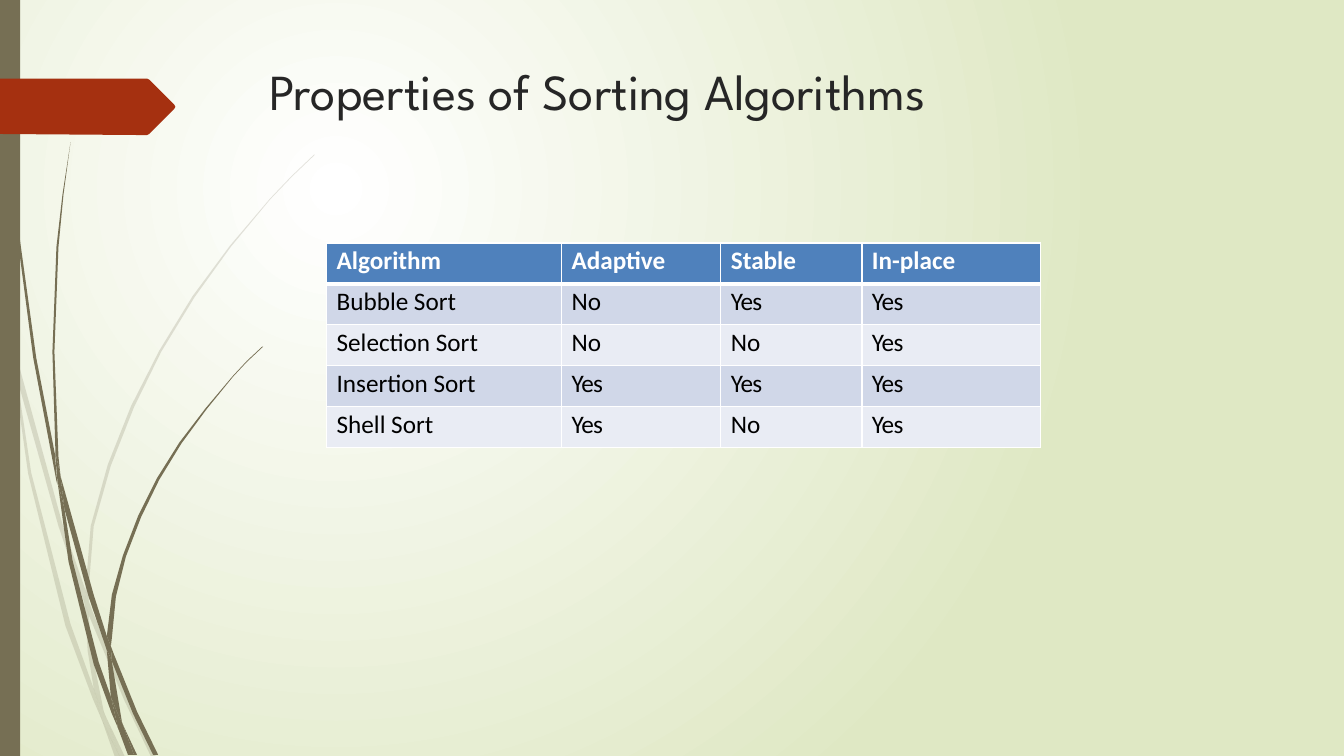
from pptx import Presentation
from pptx.dml.color import RGBColor
from pptx.enum.shapes import MSO_SHAPE
from pptx.enum.text import MSO_ANCHOR, PP_ALIGN
from pptx.oxml import parse_xml
from pptx.oxml.ns import nsdecls, qn
from pptx.util import Pt

RECT = MSO_SHAPE.RECTANGLE
TOP, MIDDLE = MSO_ANCHOR.TOP, MSO_ANCHOR.MIDDLE
LEFT = PP_ALIGN.LEFT

WHITE = RGBColor(0xFF, 0xFF, 0xFF)
BLACK = RGBColor(0, 0, 0)
INK = RGBColor(0x26, 0x26, 0x26)
GREEN = RGBColor(0xDF, 0xE8, 0xC4)
OLIVE = RGBColor(0x76, 0x6F, 0x54)
RUST = RGBColor(0xA5, 0x30, 0x10)
BLUE = RGBColor(0x4F, 0x81, 0xBC)
BANDS = [RGBColor(0xE9, 0xEC, 0xF4), RGBColor(0xD0, 0xD7, 0xE8)]

# Outlines are in hundredths of an inch
UNIT = Pt(0.72)
PALE = [
    [(11, 350), (9, 322), (0, 282), (0, 299), (10, 344)],
    [(58, 522), (84, 599), (85, 586), (62, 520), (14, 345), (17, 376)],
    [(92, 607), (88, 596), (88, 610), (123, 694), (150, 751), (155, 751),
     (127, 692)],
    [(119, 751), (124, 751), (105, 711)],
    [(93, 683), (70, 619), (31, 469), (17, 376), (11, 350), (28, 470),
     (65, 621), (92, 693), (101, 714), (99, 707)],
    [(84, 599), (87, 646), (93, 683), (96, 692), (105, 711), (103, 706),
     (91, 646), (88, 610), (88, 608)],
    [(88, 584), (93, 522), (110, 462), (133, 404), (160, 349), (193, 295),
     (229, 245), (268, 198), (290, 175), (312, 154), (312, 153), (289, 175),
     (268, 197), (228, 244), (191, 294), (158, 348), (130, 403), (107, 461),
     (90, 522), (85, 584), (85, 586), (88, 596)],
    [(101, 714), (114, 751), (119, 751)],
    [(88, 608), (88, 610), (88, 596), (85, 586), (84, 599)],
    [(96, 692), (93, 683), (99, 707), (101, 714), (119, 751), (105, 711)],
]
DARK = [
    [(7, 110), (17, 233), (33, 355), (56, 477), (57, 481), (55, 457),
     (55, 453), (36, 355), (19, 232), (8, 109), (5, 48), (4, 0), (3, 0),
     (4, 48)],
    [(88, 592), (106, 645), (106, 633), (106, 631), (93, 590), (60, 472),
     (64, 505)],
    [(113, 649), (110, 641), (111, 656), (132, 708), (152, 749), (157, 749),
     (136, 706)],
    [(110, 691), (98, 657), (72, 556), (64, 505), (57, 477), (68, 557),
     (93, 659), (111, 708), (117, 722), (116, 717)],
    [(60, 472), (58, 453), (54, 349), (58, 245), (63, 193), (70, 141),
     (62, 193), (56, 245), (52, 349), (55, 449)],
    [(133, 749), (136, 749), (122, 719)],
    [(57, 477), (64, 505), (60, 472), (55, 449), (55, 453)],
    [(111, 633), (115, 592), (125, 552), (140, 513), (158, 476), (180, 440),
     (205, 406), (231, 374), (245, 359), (261, 344), (260, 344), (245, 358),
     (231, 373), (204, 405), (178, 439), (156, 474), (137, 512), (122, 551),
     (111, 590), (106, 631), (110, 641)],
    [(117, 722), (127, 749), (131, 749)],
    [(106, 645), (110, 691), (116, 706), (122, 719), (121, 716), (111, 656),
     (109, 651)],
    [(106, 645), (109, 651), (111, 656), (110, 641), (106, 631), (106, 633)],
    [(116, 706), (110, 691), (116, 717), (117, 722), (130, 749), (133, 749),
     (122, 719)],
]
TAG = [(173, 108), (148, 133), (146, 134), (136, 134), (0, 133), (0, 78),
       (146, 78), (148, 79), (173, 104), (174, 106)]

ROWS = [
    ["Algorithm", "Adaptive", "Stable", "In-place"],
    ["Bubble Sort", "No", "Yes", "Yes"],
    ["Selection Sort", "No", "No", "Yes"],
    ["Insertion Sort", "Yes", "Yes", "Yes"],
    ["Shell Sort", "Yes", "No", "Yes"],
]
WIDTHS = [167.8, 113.8, 100.8, 127.4]
HIGH = 29.2


def write(frame, text, font, size, color, bold=False, indent=0, space=0):
    para = frame.paragraphs[0]
    para.alignment = LEFT
    para._p.get_or_add_pPr().set("marL", str(Pt(indent)))
    run = para.add_run()
    run.text = text
    run.font.name, run.font.size = font, Pt(size)
    run.font.bold = bold
    run.font.color.rgb = color
    run._r.get_or_add_rPr().set("spc", str(space))


def paint(shape, color):
    shape.shadow.inherit = False
    shape.fill.solid()
    shape.fill.fore_color.rgb = color
    shape.line.fill.background()


prs = Presentation()
prs.slide_width, prs.slide_height = Pt(960), Pt(540)
slide = prs.slides.add_slide(prs.slide_layouts[5])

# Radial background
back = slide.background.fill
back.gradient()
for stop, color in zip(back.gradient_stops, (WHITE, GREEN)):
    stop.color.rgb = color
grad = slide.element.find(".//" + qn("a:gradFill"))
lin = grad.find(qn("a:lin"))
grad.replace(lin, parse_xml(
    f'<a:path {nsdecls("a")} path="circle"><a:fillToRect l="50000" '
    't="50000" r="100000" b="100000"/></a:path>'))

# Grass, side bar and tag
for blades, alpha in ((PALE, 20), (DARK, 100)):
    group = slide.shapes.add_group_shape()
    for blade in blades:
        pen = group.shapes.build_freeform(*blade[0], scale=UNIT)
        pen.add_line_segments(blade[1:])
        leaf = pen.convert_to_shape()
        paint(leaf, OLIVE)
        if alpha < 100:
            tint = leaf._element.spPr.find(".//" + qn("a:srgbClr"))
            tint.append(parse_xml(
                f'<a:alpha {nsdecls("a")} val="{alpha * 1000}"/>'))

paint(slide.shapes.add_shape(RECT, 0, 0, Pt(14.4), Pt(540)), OLIVE)
pen = slide.shapes.build_freeform(*TAG[0], scale=UNIT)
pen.add_line_segments(TAG[1:])
paint(pen.convert_to_shape(), RUST)

# Title
title = slide.shapes.title
title.left, title.top = Pt(191.5), Pt(33.1)
title.width, title.height = Pt(576.7), Pt(61.9)
frame = title.text_frame
frame.word_wrap = True
frame.vertical_anchor = MIDDLE
frame.margin_left = frame.margin_right = frame.margin_bottom = 0
frame.margin_top = Pt(0.7)
write(frame, "Properties of Sorting Algorithms", "League Spartan", 36, INK,
      indent=0.7)

# Table
table = slide.shapes.add_table(
    len(ROWS), len(WIDTHS), Pt(233.3), Pt(173.5),
    Pt(sum(WIDTHS)), Pt(HIGH * len(ROWS))).table
table.horz_banding = False
for col, width in zip(table.columns, WIDTHS):
    col.width = Pt(width)
for r, row in enumerate(ROWS):
    table.rows[r].height = Pt(HIGH)
    head = r == 0
    for c, text in enumerate(row):
        cell = table.cell(r, c)
        cell.margin_left = cell.margin_right = cell.margin_bottom = 0
        cell.margin_top = Pt(2.2)
        cell.vertical_anchor = TOP
        cell.fill.solid()
        cell.fill.fore_color.rgb = BLUE if head else BANDS[r % 2]
        write(cell.text_frame, text, "Calibri", 18,
              WHITE if head else BLACK, bold=head, indent=7.2,
              space=-50 if text == "Yes" else 0)
        edges = {"L": 1, "R": 1, "T": 3 if r == 1 else 1, "B": 3 if head else 1}
        for i, (side, width) in enumerate(edges.items()):
            cell._tc.get_or_add_tcPr().insert(i, parse_xml(
                f'<a:ln{side} {nsdecls("a")} w="{Pt(width)}"><a:solidFill>'
                f'<a:srgbClr val="{WHITE}"/></a:solidFill></a:ln{side}>'))

prs.save("out.pptx")
